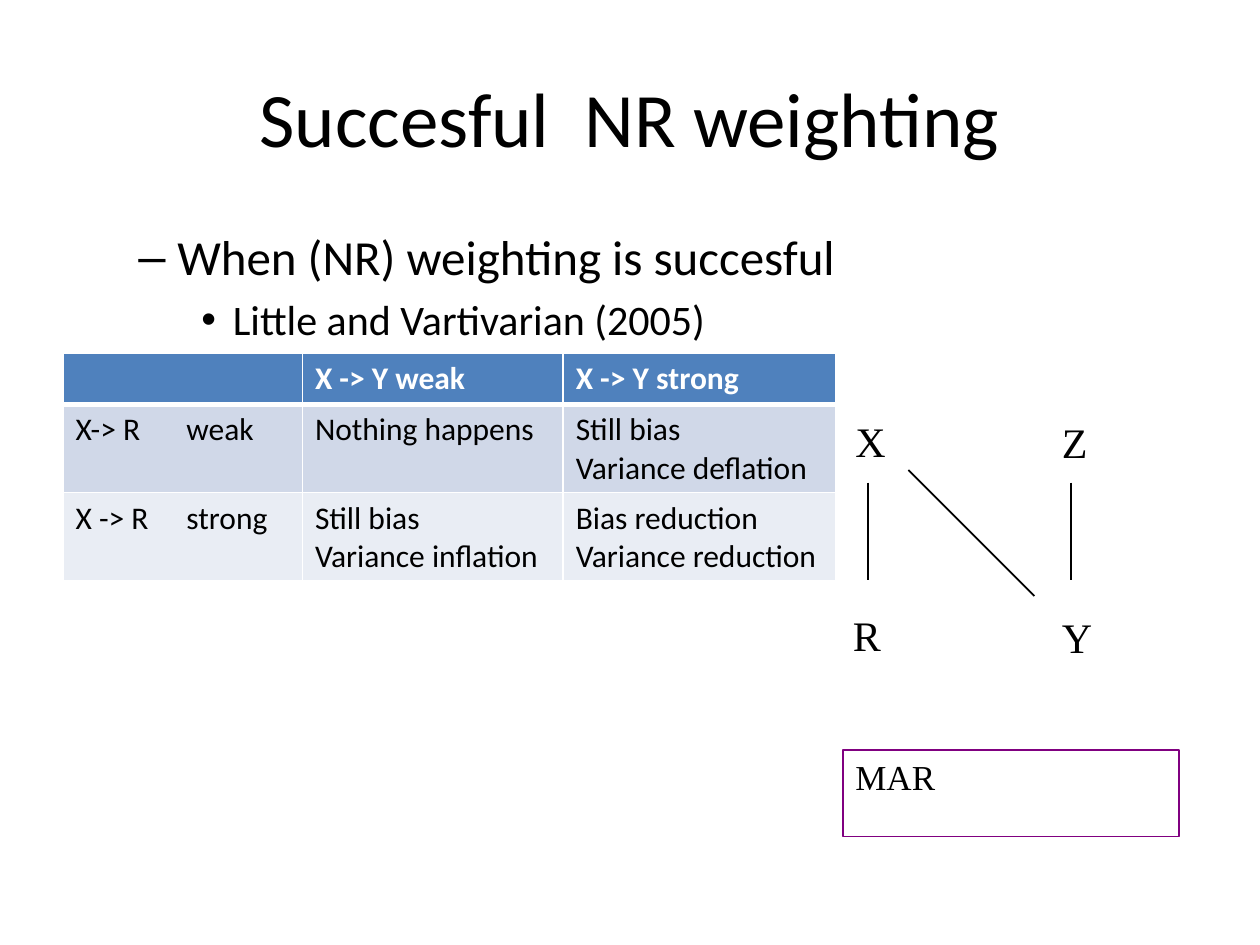
from typing import NamedTuple

from lxml import etree
from pptx import Presentation
from pptx.dml.color import RGBColor
from pptx.enum.shapes import MSO_CONNECTOR as Conn, MSO_SHAPE as Shape
from pptx.enum.text import MSO_ANCHOR as Anchor, PP_ALIGN as Align
from pptx.oxml.ns import qn
from pptx.util import Inches, Pt

SANS, SERIF = "Calibri", "Times New Roman"
BLACK, WHITE, PURPLE = "000000", "FFFFFF", "800080"
HEADER, BAND_DARK, BAND_LIGHT = "4F81BD", "D0D8E8", "E9EDF4"


class Node(NamedTuple):
    text: str
    x: float
    y: float


class Edge(NamedTuple):
    x1: float
    y1: float
    x2: float
    y2: float


class Bullet(NamedTuple):
    text: str
    char: str
    size: int
    left: float
    hanging: float


class Row(NamedTuple):
    height: float
    fill: str
    cells: list[str]


NODES = [Node("X", 6.69, 3.25), Node("Z", 8.33, 3.26),
         Node("R", 6.67, 4.79), Node("Y", 8.33, 4.8)]
EDGES = [Edge(6.89, 3.83, 6.89, 4.6), Edge(8.5, 3.83, 8.5, 4.6),
         Edge(7.21, 3.73, 8.21, 4.73)]
BULLETS = [Bullet("When (NR) weighting is succesful", "–", 28, 0.81, 0.31),
           Bullet("Little and Vartivarian (2005)", "•", 24, 1.25, 0.25)]
COLUMNS = [1.9, 2.07, 2.16]
ROWS = [
    Row(0.41, HEADER, ["", "X -> Y weak", "X -> Y strong"]),
    Row(0.7, BAND_DARK, ["X-> R\tweak", "Nothing happens",
                         "Still bias\nVariance deflation"]),
    Row(0.7, BAND_LIGHT, ["X -> R\tstrong", "Still bias\nVariance inflation",
                          "Bias reduction\nVariance reduction"]),
]


def rgb(value: str) -> RGBColor:
    return RGBColor.from_string(value)


def write(tf, text: str, *, size: int, font=SANS, color=BLACK, bold=False,
          align=Align.LEFT, anchor=Anchor.TOP):
    """Fill a text frame, one paragraph for each line of text."""
    tf.word_wrap = True
    tf.vertical_anchor = anchor
    for i, line in enumerate(text.split("\n")):
        p = tf.paragraphs[0] if i == 0 else tf.add_paragraph()
        p.alignment = align
        r = p.add_run()
        r.text = line
        r.font.name, r.font.size, r.font.bold = font, Pt(size), bold
        r.font.color.rgb = rgb(color)


def add_text(s, text: str, x: float, y: float, w: float, h: float, **style):
    sp = s.shapes.add_textbox(Inches(x), Inches(y), Inches(w), Inches(h))
    write(sp.text_frame, text, **style)
    return sp


def set_bullet(p, bullet: Bullet):
    p.space_before = Pt(0.2 * bullet.size)
    pPr = p._p.get_or_add_pPr()
    pPr.set("marL", str(Inches(bullet.left)))
    pPr.set("indent", str(-Inches(bullet.hanging)))
    etree.SubElement(pPr, qn("a:buFont"), typeface="Arial")
    etree.SubElement(pPr, qn("a:buChar"), char=bullet.char)


def add_bullets(s, bullets: list[Bullet]):
    text = "\n".join(b.text for b in bullets)
    sp = add_text(s, text, 0.5, 1.75, 9, 4.95, size=28)
    for p, bullet in zip(sp.text_frame.paragraphs, bullets):
        p.runs[0].font.size = Pt(bullet.size)
        set_bullet(p, bullet)


def add_edge(s, edge: Edge):
    line = s.shapes.add_connector(Conn.STRAIGHT, *map(Inches, edge))
    line.line.color.rgb = rgb(BLACK)
    line.line.width = Pt(1)
    etree.SubElement(line._element.spPr, qn("a:effectLst"))


def add_framed_label(s, text: str):
    sp = s.shapes.add_shape(Shape.RECTANGLE, Inches(6.69), Inches(5.95),
                            Inches(2.67), Inches(0.69))
    sp.shadow.inherit = False
    sp.fill.background()
    sp.line.color.rgb = rgb(PURPLE)
    sp.line.width = Pt(1)
    write(sp.text_frame, text, size=20, font=SERIF)


def set_borders(cell, bottom: int, top: int):
    tcPr = cell._tc.get_or_add_tcPr()
    widths = {"a:lnL": 1, "a:lnR": 1, "a:lnT": top, "a:lnB": bottom}
    for i, (tag, width) in enumerate(widths.items()):
        ln = etree.Element(qn(tag), w=str(Pt(width)))
        fill = etree.SubElement(ln, qn("a:solidFill"))
        etree.SubElement(fill, qn("a:srgbClr"), val=WHITE)
        tcPr.insert(i, ln)


def set_tab(p, position: float):
    tabs = etree.SubElement(p._p.get_or_add_pPr(), qn("a:tabLst"))
    etree.SubElement(tabs, qn("a:tab"), pos=str(Inches(position)), algn="l")


def add_table(s, rows: list[Row], columns: list[float]):
    height = sum(row.height for row in rows)
    table = s.shapes.add_table(
        len(rows), len(columns), Inches(0.5), Inches(2.8),
        Inches(sum(columns)), Inches(height)).table
    for column, width in zip(table.columns, columns):
        column.width = Inches(width)
    for i, row in enumerate(rows):
        table.rows[i].height = Inches(row.height)
        header = i == 0
        for j, text in enumerate(row.cells):
            cell = table.cell(i, j)
            cell.fill.solid()
            cell.fill.fore_color.rgb = rgb(row.fill)
            set_borders(cell, bottom=3 if header else 1, top=3 if i == 1 else 1)
            write(cell.text_frame, text, size=18, bold=header,
                  color=WHITE if header else BLACK)
            if "\t" in text:
                set_tab(cell.text_frame.paragraphs[0], 0.88)


def main():
    prs = Presentation()
    prs.slide_width, prs.slide_height = Inches(10), Inches(7.5)
    s = prs.slides.add_slide(prs.slide_layouts[6])
    add_text(s, "Succesful  NR weighting", 0.5, 0.3, 9, 1.25, size=44,
             align=Align.CENTER, anchor=Anchor.MIDDLE)
    add_bullets(s, BULLETS)
    for node in NODES:
        add_text(s, *node, 1.17, 0.51, size=24, font=SERIF)
    for edge in EDGES:
        add_edge(s, edge)
    add_framed_label(s, "MAR")
    add_table(s, ROWS, COLUMNS)
    prs.save("out.pptx")


if __name__ == "__main__":
    main()
